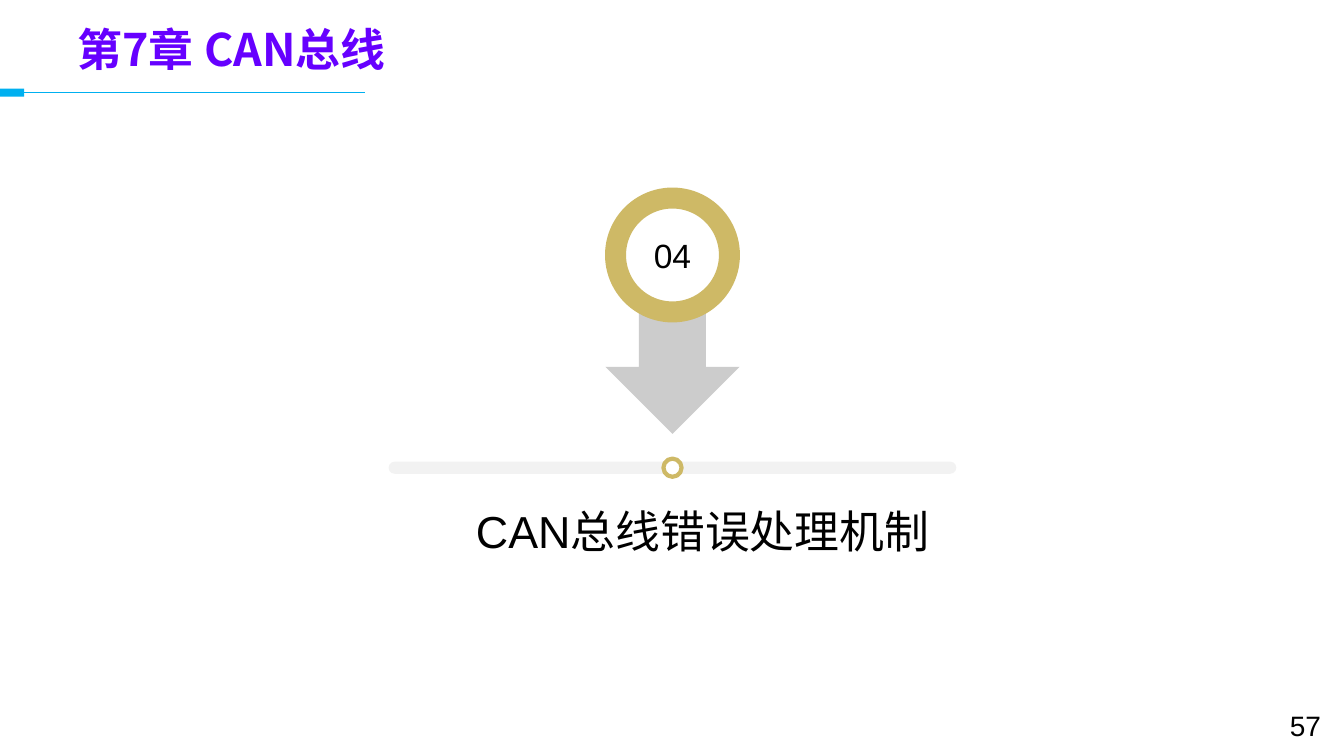
from pptx import Presentation
from pptx.dml.color import RGBColor
from pptx.enum.shapes import MSO_CONNECTOR, MSO_SHAPE
from pptx.enum.text import MSO_ANCHOR, MSO_AUTO_SIZE, PP_ALIGN
from pptx.oxml.ns import qn
from pptx.util import Inches, Pt

TITLE = "第7章 CAN总线"
SECTION_NUMBER = "04"
SECTION_NAME = "CAN总线错误处理机制"
PAGE_NUMBER = "57"

LATIN_FONT = "Arial"
CHINESE_FONT = "Noto Sans CJK SC"
BLACK, WHITE = "000000", "FFFFFF"
BLUE, PURPLE, GOLD = "00B0F0", "6600FF", "CEB966"
ARROW_GREY, BAR_GREY = "CCCCCC", "F2F2F2"

CENTER_X = 6.67
BAR_CENTER_Y = 4.64


def color(hex_value):
    return RGBColor.from_string(hex_value)


def write_text(shape, text, size, hex_color=BLACK, font=LATIN_FONT, bold=False,
               align=PP_ALIGN.LEFT, anchor=MSO_ANCHOR.TOP, spacing=None, margin=None):
    frame = shape.text_frame
    frame.word_wrap = True
    frame.auto_size = MSO_AUTO_SIZE.NONE
    frame.vertical_anchor = anchor
    if margin is not None:
        frame.margin_left = frame.margin_right = Inches(margin)
        frame.margin_top = frame.margin_bottom = Inches(margin)
    paragraph = frame.paragraphs[0]
    paragraph.alignment = align
    paragraph.space_before = Pt(0)
    if spacing:
        paragraph.line_spacing = spacing
    run = paragraph.add_run()
    run.text = text
    run.font.size = Pt(size)
    run.font.bold = bold
    run.font.name = font
    run.font.color.rgb = color(hex_color)
    east_asian = run.font._element.makeelement(qn("a:ea"), {"typeface": CHINESE_FONT})
    run.font._element.find(qn("a:latin")).addnext(east_asian)


def add_box(slide, left, top, width, height):
    return slide.shapes.add_textbox(Inches(left), Inches(top), Inches(width), Inches(height))


def add_shape(slide, kind, left, top, width, height, fill, line=None, line_width=0):
    shape = slide.shapes.add_shape(
        kind, Inches(left), Inches(top), Inches(width), Inches(height))
    shape.shadow.inherit = False
    shape.fill.solid()
    shape.fill.fore_color.rgb = color(fill)
    if line:
        shape.line.color.rgb = color(line)
        shape.line.width = Pt(line_width)
    else:
        shape.line.fill.background()
    return shape


def add_centered(slide, kind, center_y, width, height, fill, **line_format):
    """Add a shape on the vertical axis of the slide."""
    return add_shape(slide, kind, CENTER_X - width / 2, center_y - height / 2,
                     width, height, fill, **line_format)


def add_heading(slide):
    title = slide.shapes.title
    title.left, title.top = Inches(0.67), Inches(0.2)
    title.width, title.height = Inches(12), Inches(0.63)
    write_text(title, TITLE, 32, hex_color=PURPLE, font=CHINESE_FONT, bold=True,
               anchor=MSO_ANCHOR.MIDDLE, spacing=0.9)
    rule = slide.shapes.add_connector(
        MSO_CONNECTOR.STRAIGHT, Inches(0.23), Inches(0.92), Inches(3.62), Inches(0.92))
    rule.line.color.rgb = color(BLUE)
    rule.line.width = Pt(0.75)
    properties = rule._element.spPr
    properties.append(properties.makeelement(qn("a:effectLst"), {}))
    add_shape(slide, MSO_SHAPE.RECTANGLE, 0, 0.88, 0.24, 0.08, BLUE)


def add_section_marker(slide):
    bar = add_centered(slide, MSO_SHAPE.ROUNDED_RECTANGLE, BAR_CENTER_Y, 5.63, 0.12, BAR_GREY)
    bar.adjustments[0] = 0.5
    add_centered(slide, MSO_SHAPE.DOWN_ARROW, 3.42, 1.33, 1.77, ARROW_GREY)
    ring = add_centered(slide, MSO_SHAPE.OVAL, 2.53, 1.13, 1.13, WHITE,
                        line=GOLD, line_width=15)
    write_text(ring, SECTION_NUMBER, 24, align=PP_ALIGN.CENTER,
               anchor=MSO_ANCHOR.MIDDLE, margin=0)
    add_centered(slide, MSO_SHAPE.OVAL, BAR_CENTER_Y, 0.18, 0.18, WHITE,
                 line=GOLD, line_width=3)
    write_text(add_box(slide, 4.46, 4.89, 5.02, 0.46), SECTION_NAME, 32,
               align=PP_ALIGN.CENTER, spacing=1.1)


def main():
    presentation = Presentation()
    presentation.slide_width, presentation.slide_height = Inches(13.33), Inches(7.5)
    slide = presentation.slides.add_slide(presentation.slide_layouts[5])
    add_heading(slide)
    add_section_marker(slide)
    write_text(add_box(slide, 10.09, 6.98, 3.11, 0.52), PAGE_NUMBER, 20,
               align=PP_ALIGN.RIGHT)
    presentation.save("out.pptx")


if __name__ == "__main__":
    main()
